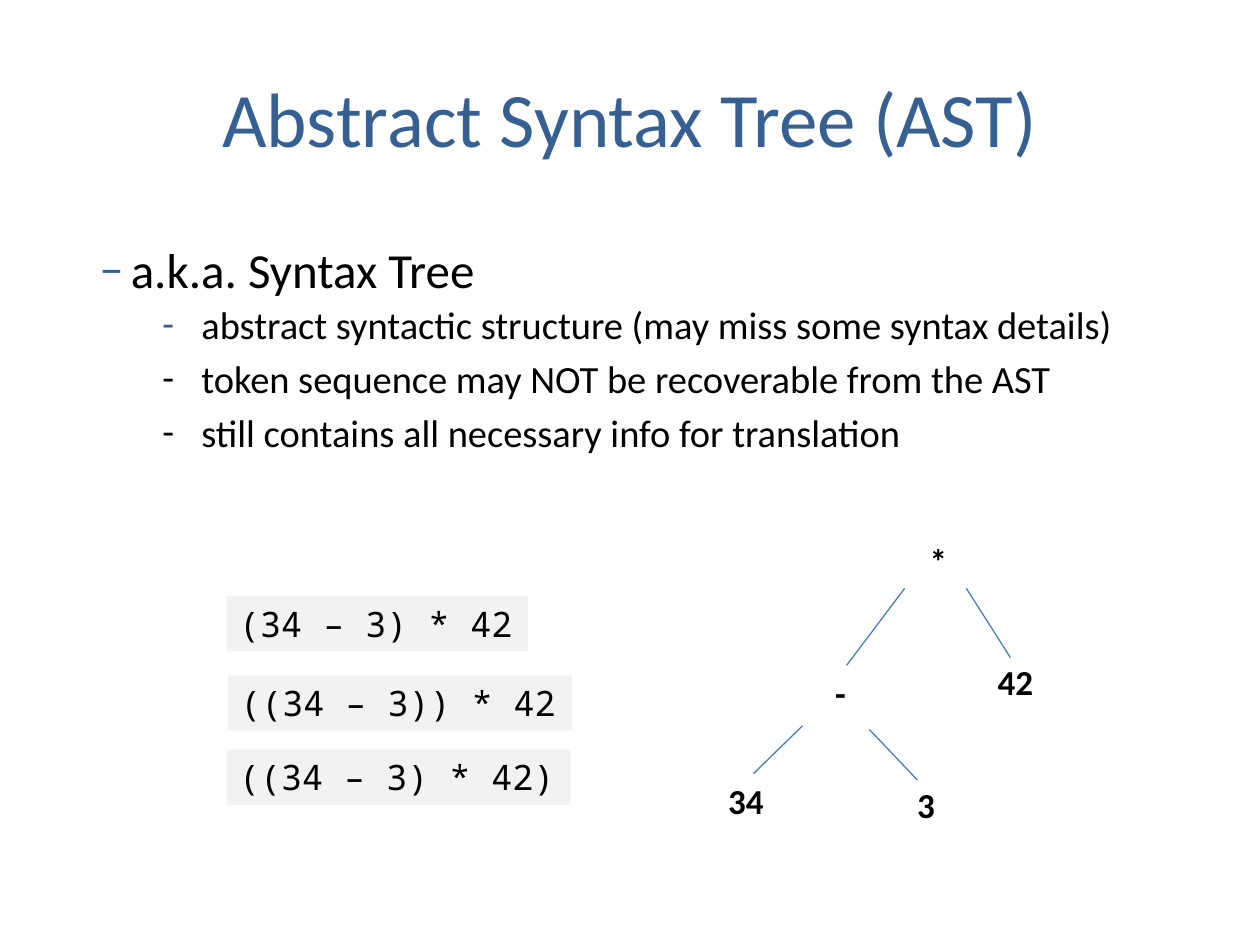
"""Build the Abstract Syntax Tree slide on a grid of 100 columns by 75 rows."""
from lxml import etree
from pptx import Presentation
from pptx import util as u
from pptx.dml.color import RGBColor
from pptx.enum import shapes, text
from pptx.oxml.ns import qn

COLORS = {"title": "376092", "ink": "000000", "edge": "4B7EBC", "code": "F2F2F2"}
COLS, ROWS = 100, 75

prs = Presentation()
prs.slide_width, prs.slide_height = u.Inches(10), u.Inches(7.5)
s = prs.slides.add_slide(prs.slide_layouts[5])


def grid(*cells):
    """Turn column, row, column, row... into lengths."""
    sizes = (prs.slide_width / COLS, prs.slide_height / ROWS)
    return [round(c * sizes[i % 2]) for i, c in enumerate(cells)]


def write(p, words, size=20, font="Calibri", color="ink", bold=False,
          align=text.PP_ALIGN.LEFT):
    """Write words into a paragraph with the given format."""
    p.alignment = align
    r = p.add_run()
    r.text = words
    r.font.name, r.font.size, r.font.bold = font, u.Pt(size), bold
    r.font.color.rgb = RGBColor.from_string(COLORS[color])


title = s.shapes.title
title.left, title.top, title.width, title.height = grid(5, 3, 90, 12.5)
title.text_frame.vertical_anchor = text.MSO_ANCHOR.MIDDLE
write(title.text_frame.paragraphs[0], "Abstract Syntax Tree (AST)", size=44,
      color="title", align=text.PP_ALIGN.CENTER)

points = [
    ("a.k.a. Syntax Tree", 28, 0.25, "–", "title"),
    ("abstract syntactic structure (may miss some syntax details)", 22, 0.81, "-", "title"),
    ("token sequence may NOT be recoverable from the AST", 22, 0.81, "-", "ink"),
    ("still contains all necessary info for translation", 22, 0.81, "-", "ink"),
]
tf = s.shapes.add_textbox(*grid(6.9, 18.5, 86.3, 17.3)).text_frame
tf.word_wrap = True
for i, (words, size, margin, bullet, color) in enumerate(points):
    p = tf.add_paragraph() if i else tf.paragraphs[0]
    pPr = p._p.get_or_add_pPr()
    pPr.set("marL", str(u.Inches(margin)))
    pPr.set("indent", str(u.Inches(-0.31)))
    fill = etree.SubElement(pPr, qn("a:buClr"))
    etree.SubElement(fill, qn("a:srgbClr"), val=COLORS[color])
    etree.SubElement(pPr, qn("a:buFont"), typeface="Calibri")
    etree.SubElement(pPr, qn("a:buChar"), char=bullet)
    p.space_before = u.Pt(size * 0.2 if i else 0)
    if i == 1:
        p.line_spacing = 0.9
    write(p, words, size=size)

edges = [(71.8, 46.7, 67.2, 52.8), (76.7, 46.7, 80.2, 52.2),
         (63.7, 57.6, 59.8, 61.4), (69, 57.9, 72.8, 61.9)]
for edge in edges:
    line = s.shapes.add_connector(shapes.MSO_CONNECTOR.STRAIGHT, *grid(*edge))
    line.line.color.rgb = RGBColor.from_string(COLORS["edge"])
    line.line.width = u.Pt(0.75)
    etree.SubElement(line._element.spPr, qn("a:effectLst"))

nodes = [("*", 72.8, 42.3, 3.9), ("-", 65.3, 52.8, 2.9), ("42", 78.2, 51.9, 4.9),
         ("34", 56.8, 61.4, 4.9), ("3", 71.8, 61.7, 3.4)]
for label, left, top, width in nodes:
    tf = s.shapes.add_textbox(*grid(left, top, width, 4.4)).text_frame
    tf.word_wrap = label == "*"
    tf.auto_size = text.MSO_AUTO_SIZE.SHAPE_TO_FIT_TEXT
    write(tf.paragraphs[0], label, bold=True)

expressions = [("(34 – 3) * 42", 18, 47.3, 23.9), ("((34 – 3)) * 42", 18.1, 53.6, 27.3),
               ("((34 – 3) * 42)", 18, 59.5, 27.3)]
for code, left, top, width in expressions:
    sp = s.shapes.add_shape(shapes.MSO_SHAPE.RECTANGLE, *grid(left, top, width, 4.4))
    sp.shadow.inherit = False
    sp.fill.solid()
    sp.fill.fore_color.rgb = RGBColor.from_string(COLORS["code"])
    sp.line.fill.background()
    sp.text_frame.word_wrap = False
    sp.text_frame.auto_size = text.MSO_AUTO_SIZE.SHAPE_TO_FIT_TEXT
    sp.text_frame.vertical_anchor = text.MSO_ANCHOR.TOP
    write(sp.text_frame.paragraphs[0], code, font="Noto Sans Mono")

prs.save("out.pptx")
